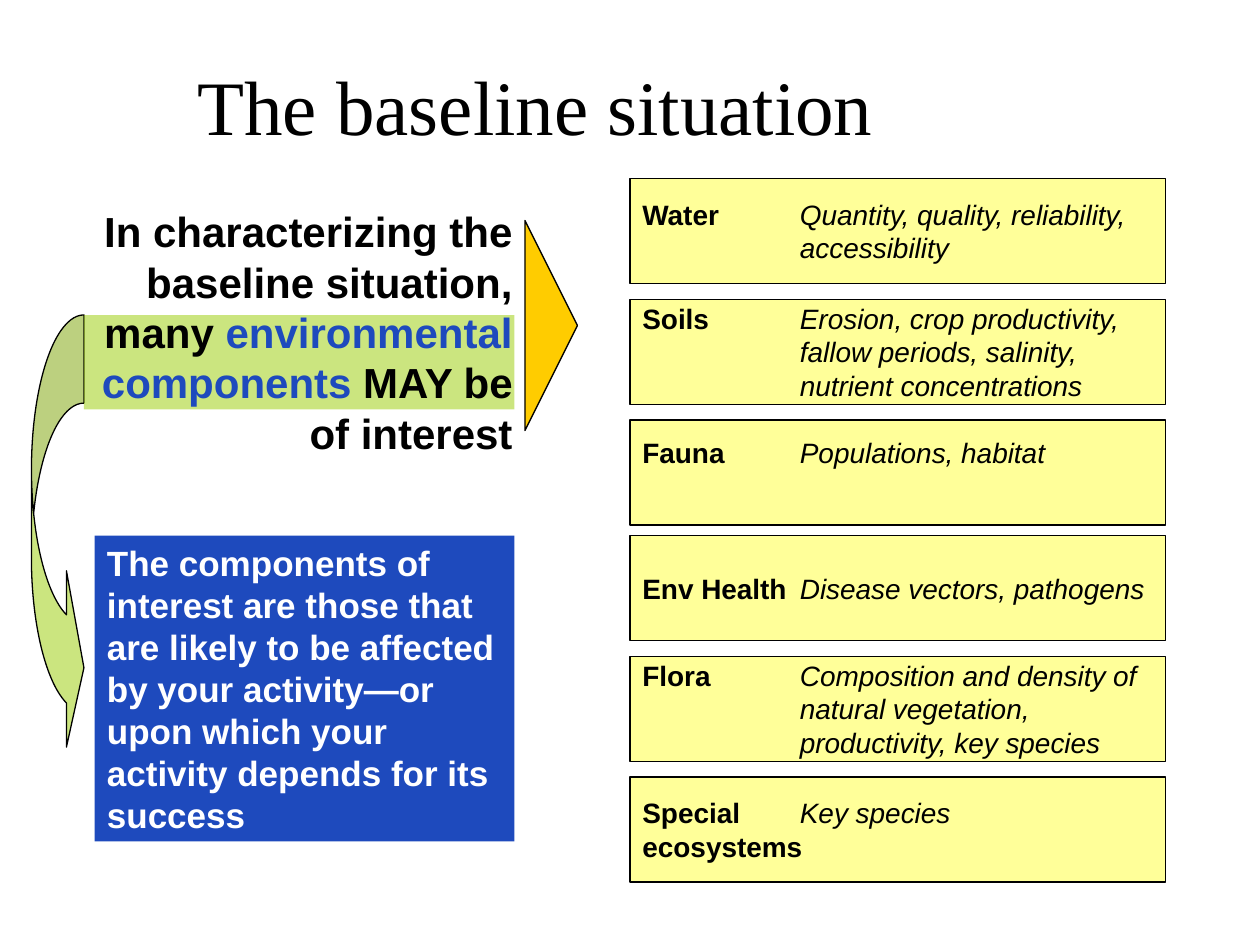
from lxml.etree import SubElement
from pptx import Presentation
from pptx.dml.color import RGBColor
from pptx.enum.shapes import MSO_SHAPE as SHAPE
from pptx.enum.text import MSO_ANCHOR as ANCHOR, PP_ALIGN as ALIGN
from pptx.oxml.ns import qn
from pptx.util import Pt

PX = 9525
COLORS = {"black": "000000", "white": "FFFFFF", "blue": "1E4ABD",
          "green": "99CC00", "yellow": "FFFF99", "gold": "FFCC00"}
HANG = 120
COMPONENT_GROUPS = [
    [("Water", "Quantity, quality, reliability, accessibility"),
     ("Soils", "Erosion, crop productivity, fallow periods, salinity, nutrient concentrations"),
     ("Fauna", "Populations, habitat")],
    [("Env Health", "Disease vectors, pathogens"),
     ("Flora", "Composition and density of natural vegetation, productivity, key species"),
     ("Special", "Key species", "ecosystems")],
]


def emu(*lengths):
    """Turn px lengths into EMU."""
    return [length * PX for length in lengths]


def add_text(p, text, size=16, color="black", bold=False, italic=False, font="Arial"):
    """Append one formatted run to a paragraph."""
    r = p.add_run()
    r.text = text
    f = r.font
    f.name, f.size, f.bold, f.italic = font, Pt(size), bold, italic
    f.color.rgb = RGBColor.from_string(COLORS[color])


def add_block(s, kind, box, fill, line=None, alpha=None, adjust=()):
    """Add a filled preset shape without shadow."""
    sp = s.shapes.add_shape(kind, *emu(*box))
    sp.shadow.inherit = False
    sp.fill.solid()
    sp.fill.fore_color.rgb = RGBColor.from_string(COLORS[fill])
    if alpha:
        color = sp.fill._xPr.find(qn("a:solidFill"))[0]
        SubElement(color, qn("a:alpha"), val=str(alpha * 1000))
    if line:
        sp.line.color.rgb = RGBColor.from_string(COLORS[line])
        sp.line.width = Pt(0.75)
    else:
        sp.line.fill.background()
    for i, value in enumerate(adjust):
        sp.adjustments[i] = value
    return sp


def first_paragraph(sp, anchor=ANCHOR.TOP, align=ALIGN.LEFT):
    """Set wrapping, anchor and alignment, and return the first paragraph."""
    tf = sp.text_frame
    tf.word_wrap, tf.vertical_anchor = True, anchor
    p = tf.paragraphs[0]
    p.alignment = align
    return p


def build_title(s, box):
    """Place the title placeholder."""
    title = s.shapes.title
    title.left, title.top, title.width, title.height = emu(*box)
    p = first_paragraph(title, ANCHOR.MIDDLE, ALIGN.CENTER)
    add_text(p, "The baseline situation", size=44, font="Times New Roman")


def build_highlight(s, box):
    """Draw the green band and the curved arrow that leaves it."""
    x, y, w, h = box
    add_block(s, SHAPE.CURVED_RIGHT_ARROW, (x, y, 40, h), "green", "black", 50,
              (1.68, 3.36, 0.333))
    add_block(s, SHAPE.RECTANGLE, (x + 40, y, w - 40, 72), "green", alpha=50)


def build_intro(s, box):
    """Write the introduction and draw the pointer on its right."""
    x, y, w, h = box
    p = first_paragraph(s.shapes.add_textbox(*emu(*box)), align=ALIGN.RIGHT)
    for text, color in [("In characterizing the baseline situation, many ", "black"),
                        ("environmental components", "blue"),
                        (" MAY be of interest", "black")]:
        add_text(p, text, size=24, color=color, bold=True)
    pointer = add_block(s, SHAPE.DOWN_ARROW, (x + w - 60, y + 76, 160, 40),
                        "gold", "black", adjust=(0.622, 1))
    pointer.rotation = 270


def build_component(s, box, label, detail, label_end=None):
    """Draw one component box with its label and detail."""
    sp = add_block(s, SHAPE.RECTANGLE, box, "yellow", "black")
    p = first_paragraph(sp, ANCHOR.MIDDLE)
    pPr = p._p.get_or_add_pPr()
    if label_end:
        tabs = SubElement(pPr, qn("a:tabLst"))
        SubElement(tabs, qn("a:tab"), pos=str(HANG * PX), algn="l")
    else:
        pPr.set("marL", str(HANG * PX))
        pPr.set("indent", str(-HANG * PX))
    if label == "Fauna":
        sp.text_frame.margin_bottom = 36 * PX
    add_text(p, label, bold=True)
    add_text(p, "\t" + detail, italic=True)
    if label_end:
        p.add_line_break()
        add_text(p, label_end, bold=True)


def build_components(s, box):
    """Stack the component boxes in two groups."""
    x, y, w, h = box
    for g, group in enumerate(COMPONENT_GROUPS):
        for i, component in enumerate(group):
            build_component(s, (x, y + 272 * g + 92 * i, w, 80), *component)


def build_conclusion(s, box):
    """Draw the blue conclusion box."""
    p = first_paragraph(add_block(s, SHAPE.RECTANGLE, box, "blue"))
    add_text(p, "The components of interest are those that are likely to be affected "
             "by your activity—or upon which your activity depends for its success",
             size=20, color="white", bold=True)


def main():
    """Build and save the slide."""
    prs = Presentation()
    prs.slide_width, prs.slide_height = emu(960, 720)
    s = prs.slides.add_slide(prs.slide_layouts[5])
    build_highlight(s, (24, 240, 368, 336))
    build_title(s, (0, 48, 816, 64))
    build_intro(s, (62, 152, 338, 202))
    build_components(s, (480, 136, 408, 536))
    build_conclusion(s, (72, 408, 320, 233))
    prs.save("out.pptx")


if __name__ == "__main__":
    main()
